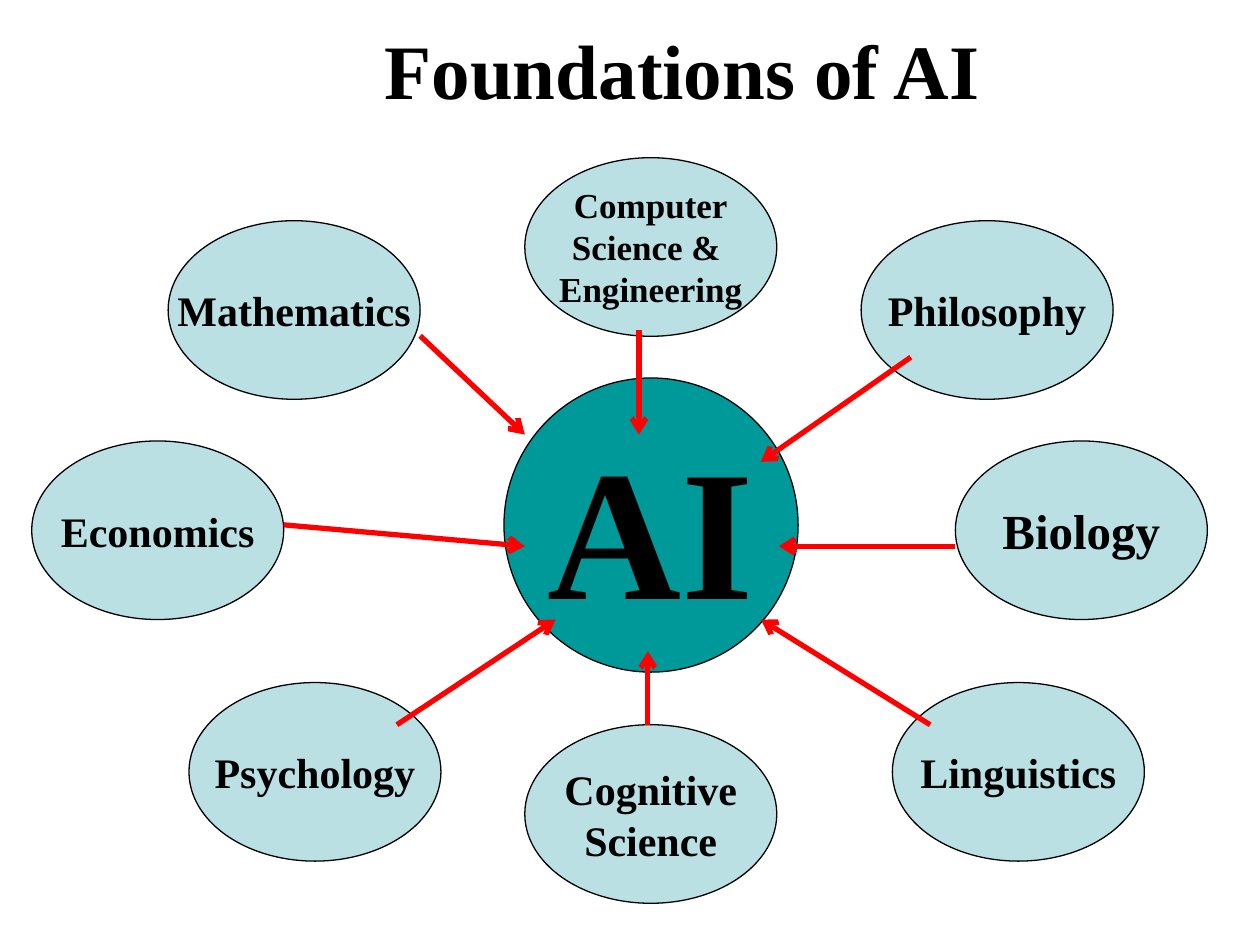
from dataclasses import dataclass

import pptx
import pptx.dml.color
import pptx.enum.shapes
import pptx.enum.text
import pptx.oxml.ns
import pptx.util
from lxml import etree

Cm = pptx.util.Cm
Pt = pptx.util.Pt

FONT = "Times New Roman"
COLOURS = {"text": "000000", "field": "BBE0E3", "hub": "009999", "arrow": "FF0000"}
FIELD_WIDTH, FIELD_HEIGHT = 5.08, 3.6
HUB_SIZE = 5.93


@dataclass
class Field:
    """A discipline: its ellipse and the arrow that leads to the hub, in cm."""
    text: str
    left: float
    top: float
    arrow_start: tuple[float, float]
    arrow_end: tuple[float, float]
    size: int = 24


FIELDS = [
    Field("Computer\nScience & \nEngineering", 10.58, 3.18, (12.88, 6.65), (12.88, 8.76), 20),
    Field("Mathematics", 3.39, 4.45, (8.47, 6.77), (10.58, 8.76)),
    Field("Cognitive\nScience", 10.58, 14.61, (13.06, 14.61), (13.06, 13.13)),
    Field("Philosophy", 17.36, 4.45, (18.36, 7.2), (15.34, 9.31)),
    Field("Psychology", 3.81, 13.76, (8, 14.61), (11.2, 12.49)),
    Field("Linguistics", 17.99, 13.76, (18.75, 14.61), (15.34, 12.49)),
    Field("Biology", 19.26, 8.89, (19.26, 11.01), (15.7, 11.01), 28),
    Field("Economics", 0.64, 8.89, (5.72, 10.58), (10.58, 11.01)),
]


def colour(name: str) -> pptx.dml.color.RGBColor:
    return pptx.dml.color.RGBColor.from_string(COLOURS[name])


def write_text(shape, text: str, size: int, wrap: bool) -> None:
    """Set centred bold text in a shape or text box."""
    frame = shape.text_frame
    frame.text = text
    frame.word_wrap = wrap
    frame.vertical_anchor = pptx.enum.text.MSO_ANCHOR.MIDDLE
    for para in frame.paragraphs:
        para.alignment = pptx.enum.text.PP_ALIGN.CENTER
        for span in para.runs:
            span.font.name = FONT
            span.font.size = Pt(size)
            span.font.bold = True
            span.font.color.rgb = colour("text")


def draw_ellipse(page, text: str, left: float, top: float, width: float,
                 height: float, fill: str, size: int) -> None:
    ellipse = page.shapes.add_shape(pptx.enum.shapes.MSO_SHAPE.OVAL,
                                    Cm(left), Cm(top), Cm(width), Cm(height))
    ellipse.shadow.inherit = False
    ellipse.fill.solid()
    ellipse.fill.fore_color.rgb = colour(fill)
    ellipse.line.color.rgb = colour("text")
    ellipse.line.width = Pt(0.75)
    write_text(ellipse, text, size, wrap=False)


def draw_arrow(page, start: tuple[float, float], end: tuple[float, float]) -> None:
    arrow = page.shapes.add_connector(pptx.enum.shapes.MSO_CONNECTOR.STRAIGHT,
                                      *map(Cm, start), *map(Cm, end))
    arrow.line.color.rgb = colour("arrow")
    arrow.line.width = Pt(3)
    # Open arrowhead at the end, no theme shadow
    qn = pptx.oxml.ns.qn
    etree.SubElement(arrow.line._get_or_add_ln(), qn("a:tailEnd"), type="arrow")
    etree.SubElement(arrow._element.spPr, qn("a:effectLst"))


def main() -> None:
    deck = pptx.Presentation()
    deck.slide_width, deck.slide_height = Cm(25.4), Cm(19.05)
    page = deck.slides.add_slide(deck.slide_layouts[6])

    # Title
    title = page.shapes.add_textbox(Cm(2.96), Cm(0.64), Cm(21.59), Cm(1.48))
    write_text(title, "Foundations of AI", 44, wrap=True)

    # Disciplines around the hub
    for field in FIELDS:
        draw_ellipse(page, field.text, field.left, field.top,
                     FIELD_WIDTH, FIELD_HEIGHT, "field", field.size)

    # Hub, with the arrows on top
    draw_ellipse(page, "AI", 10.16, 7.62, HUB_SIZE, HUB_SIZE, "hub", 106)
    for field in FIELDS:
        draw_arrow(page, field.arrow_start, field.arrow_end)

    deck.save("out.pptx")


if __name__ == "__main__":
    main()
